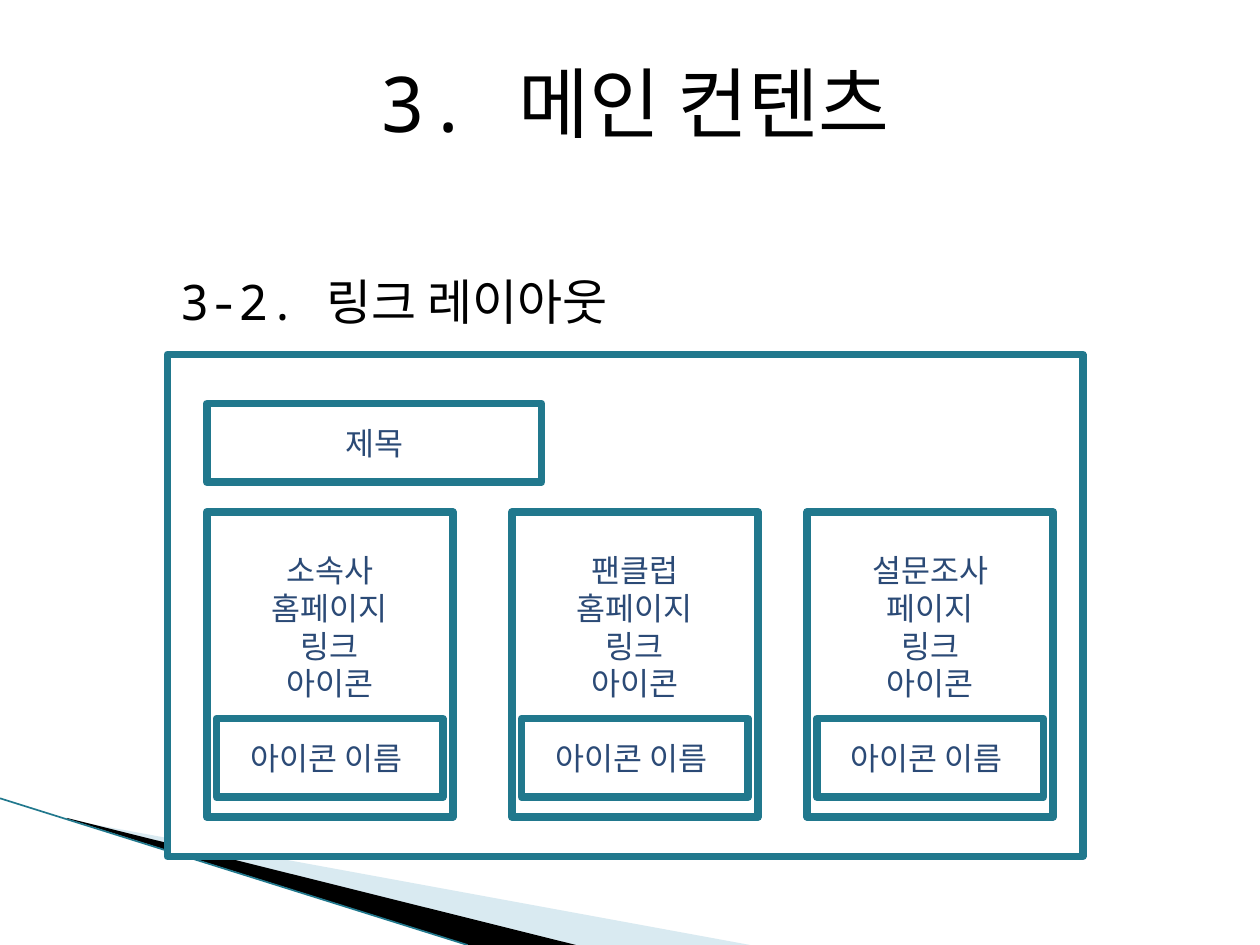
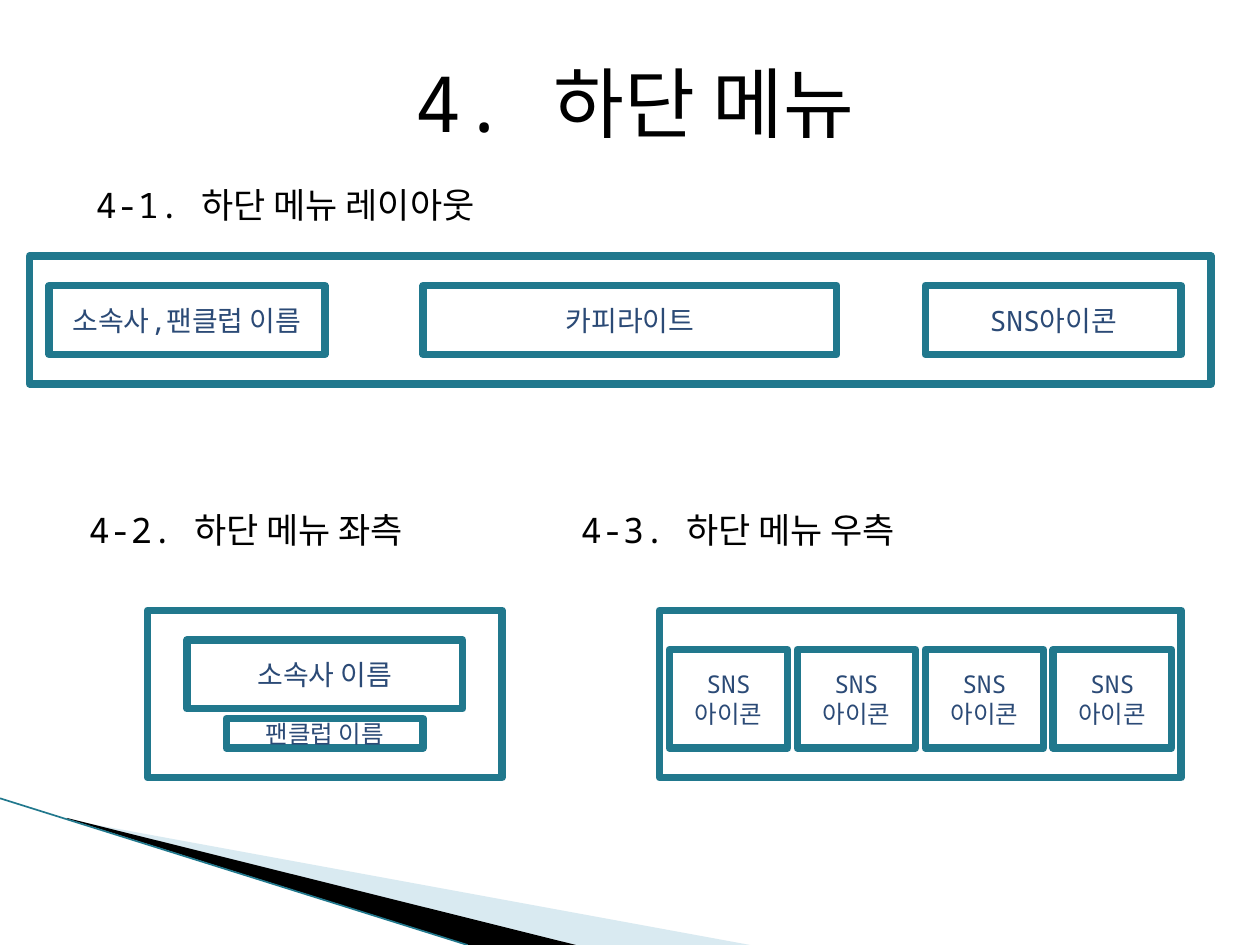
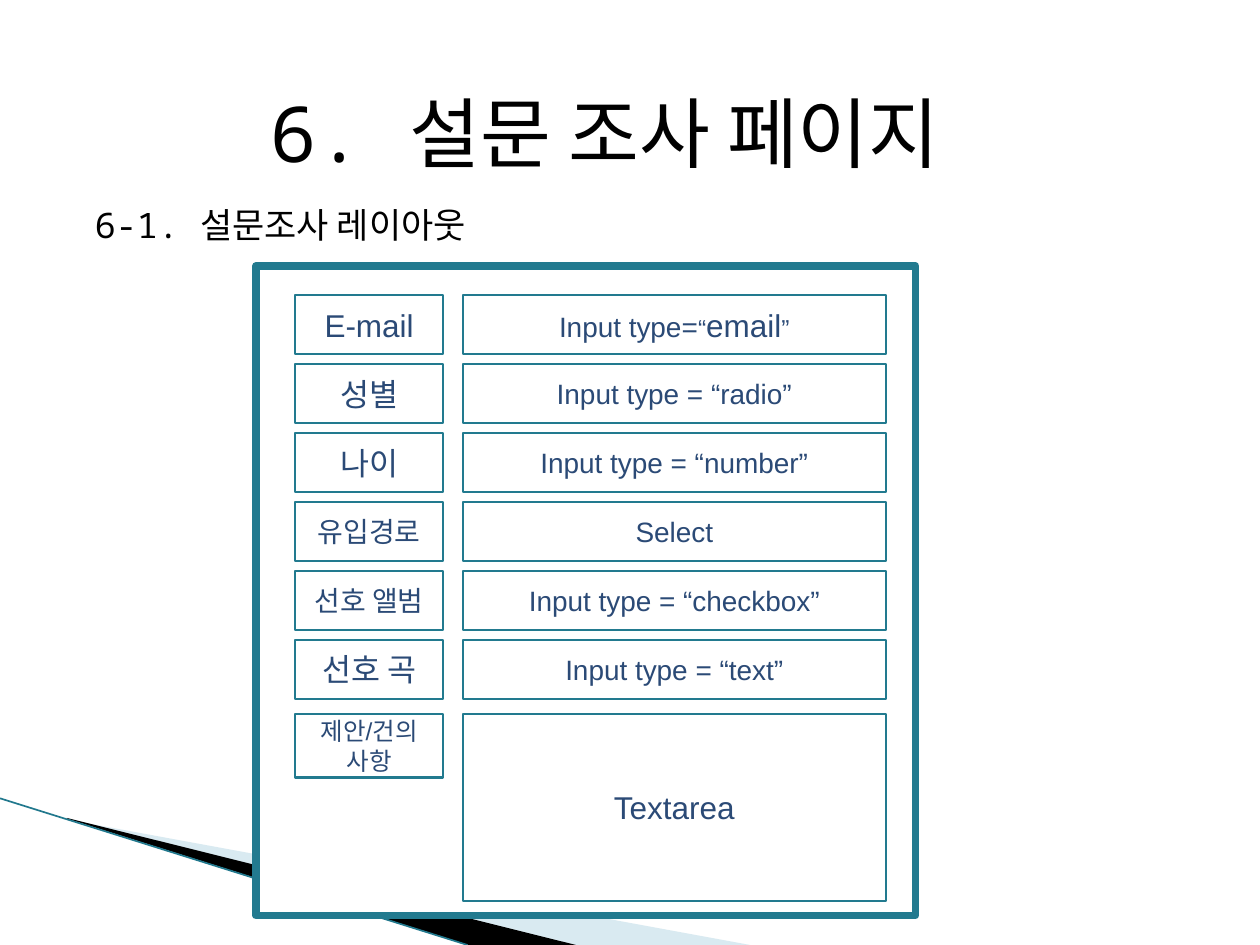
from lxml import etree
from pptx import Presentation
from pptx.dml.color import RGBColor
from pptx.enum.shapes import MSO_CONNECTOR, MSO_SHAPE
from pptx.enum.text import MSO_ANCHOR, MSO_AUTO_SIZE, PP_ALIGN
from pptx.oxml.ns import qn
from pptx.util import Emu, Inches, Pt

RECT = MSO_SHAPE.RECTANGLE
STRAIGHT = MSO_CONNECTOR.STRAIGHT
CENTER = PP_ALIGN.CENTER
TOP, MIDDLE = MSO_ANCHOR.TOP, MSO_ANCHOR.MIDDLE
NO_FIT = MSO_AUTO_SIZE.NONE

COLORS = {
    "paper": "FFFFFF",
    "ink": "000000",
    "label": "2B4A76",
    "teal": "21788D",
    "form": "227A8F",
    "mist": "A0CBDC",
}
MONO, SANS = "Noto Sans Mono", "Arial"
THICK, THIN = 4.33, 1.25
TITLE_ONLY = 5
WIDTH, HEIGHT = Inches(10), Inches(7.5)
COLUMNS, ROWS = 128, 96


def color(name):
    """Return the named colour."""
    return RGBColor.from_string(COLORS[name])


def grid(columns, rows):
    """Turn columns and rows into lengths."""
    return Emu(round(columns * WIDTH / COLUMNS)), Emu(round(rows * HEIGHT / ROWS))


class Deck:
    """Holds the style and the current slide."""

    def __init__(self):
        self.prs = Presentation()
        self.prs.slide_width, self.prs.slide_height = WIDTH, HEIGHT
        self.s = None
        self.outline, self.weight, self.font = "teal", THICK, MONO

    def slide(self, title, left=10, top=5, height=11):
        """Start a slide with its corner swoosh and title."""
        self.s = self.prs.slides.add_slide(self.prs.slide_layouts[TITLE_ONLY])
        self.swoosh()
        sp = self.s.shapes.title
        sp.left, sp.top = grid(left, top)
        sp.width, sp.height = grid(109, height)
        self.set_text(sp.text_frame, [title], 44, MONO, "ink", TOP)

    def swoosh(self):
        """Draw the two bands and the edge line in the lower left corner."""
        self.band([(7, 83.3), (76.2, 96), (58.4, 96), (7, 83.2)], "mist", 40)
        self.band([(6.8, 83.1), (58.5, 96), (47.6, 96), (6.9, 83.2)], "ink")
        line = self.s.shapes.add_connector(STRAIGHT, *grid(0, 81.1), *grid(47.5, 96))
        line.line.color.rgb = color("teal")
        line.line.width = Pt(0.95)
        etree.SubElement(line._element.spPr, qn("a:effectLst"))

    def band(self, points, fill, opacity=100):
        """Draw a filled outline through grid points."""
        corners = [grid(*point) for point in points]
        builder = self.s.shapes.build_freeform(*corners[0])
        builder.add_line_segments(corners[1:])
        sp = builder.convert_to_shape()
        sp.shadow.inherit = False
        sp.fill.solid()
        sp.fill.fore_color.rgb = color(fill)
        sp.line.fill.background()
        if opacity < 100:
            tint = sp._element.spPr.find(".//" + qn("a:srgbClr"))
            etree.SubElement(tint, qn("a:alpha"), val=str(opacity * 1000))

    def set_text(self, tf, lines, size, font, ink, anchor):
        """Fill a frame with centred lines; a line may be (text, size) runs."""
        tf.auto_size, tf.word_wrap, tf.vertical_anchor = NO_FIT, True, anchor
        for i, line in enumerate(lines):
            p = tf.paragraphs[0] if i == 0 else tf.add_paragraph()
            p.alignment = CENTER
            p.font.name, p.font.size = font, Pt(size)
            p.font.color.rgb = color(ink)
            for text, run_size in [(line, size)] if isinstance(line, str) else line:
                r = p.add_run()
                r.text = text
                r.font.name, r.font.size = font, Pt(run_size)
                r.font.color.rgb = color(ink)

    def heading(self, text, left, top, width, height=7, size=20):
        """Add a section heading."""
        sp = self.s.shapes.add_textbox(*grid(left, top), *grid(width, height))
        self.set_text(sp.text_frame, [text], size, MONO, "ink", TOP)

    def box(self, left, top, width, height, *lines, size=18, bottom=0.05):
        """Add an outlined box, with its lines of text if any."""
        sp = self.s.shapes.add_shape(RECT, *grid(left, top), *grid(width, height))
        sp.shadow.inherit = False
        sp.fill.solid()
        sp.fill.fore_color.rgb = color("paper")
        sp.line.color.rgb = color(self.outline)
        sp.line.width = Pt(self.weight)
        if lines:
            sp.text_frame.margin_bottom = Inches(bottom)
            self.set_text(sp.text_frame, lines, size, self.font, "label", MIDDLE)


def link_slide(deck):
    """Wireframe of the link section."""
    deck.slide("3. 메인 컨텐츠")
    deck.box(17, 36, 93, 51)
    deck.heading("3-2. 링크 레이아웃", 11, 27, 58, 8, size=28)
    deck.box(21, 41, 34, 8, "제목")
    cards = [
        (21, "소속사", "홈페이지"),
        (52, "팬클럽", "홈페이지"),
        (82, "설문조사", "페이지"),
    ]
    for left, owner, page in cards:
        deck.box(left, 52, 25, 31, owner, page, "링크", "아이콘", bottom=0.65)
        deck.box(left + 1, 73, 23, 8, "아이콘 이름 ")


def footer_slide(deck):
    """Wireframes of the bottom menu and its two ends."""
    deck.slide("4. 하단 메뉴")
    deck.heading("4-1. 하단 메뉴 레이아웃", 4, 18, 50)
    deck.box(3, 26, 120, 13)
    parts = [(5, 28, "소속사,팬클럽 이름"), (43, 42, "카피라이트"), (94, 26, "SNS아이콘")]
    for left, width, text in parts:
        deck.box(left, 29, width, 7, text, size=16)

    deck.heading("4-2. 하단 메뉴 좌측", 0, 51, 50)
    deck.box(15, 62, 36, 17)
    deck.box(19, 65, 28, 7, "소속사 이름", size=16)
    deck.box(23, 73, 20, 3, "팬클럽 이름", size=14)

    deck.heading("4-3. 하단 메뉴 우측", 50, 51, 50)
    deck.box(67, 62, 53, 17)
    for i in range(4):
        deck.box(68 + 13 * i, 66, 12, 10, "SNS", "아이콘", size=14)


def survey_slide(deck):
    """Wireframe of the survey form."""
    deck.slide("6. 설문 조사 페이지", 7, 8, 12)
    deck.heading("6-1. 설문조사 레이아웃", 7, 20, 43)
    deck.outline, deck.font = "form", SANS
    deck.box(26, 27, 67, 66)
    deck.weight = THIN
    email = [("Input type=", 16), ("“", 14), ("email", 18), ("”", 14)]
    fields = [
        ("E-mail", 18, email),
        ("성별", 18, "Input type = “radio”"),
        ("나이", 18, "Input type = “number”"),
        ("유입경로", 16, "Select"),
        ("선호 앨범", 16, "Input type = “checkbox”"),
        ("선호 곡", 18, "Input type = “text”"),
    ]
    for i, (label, size, control) in enumerate(fields):
        top = 30 + 7 * i
        deck.box(30, top, 15, 6, label, size=size)
        deck.box(47, top, 43, 6, control, size=16)
    deck.box(30, 72.5, 15, 6.5, "제안/건의 사항", size=14)
    deck.box(47, 72.5, 43, 19, "Textarea")


deck = Deck()
link_slide(deck)
footer_slide(deck)
survey_slide(deck)
deck.prs.save("out.pptx")
